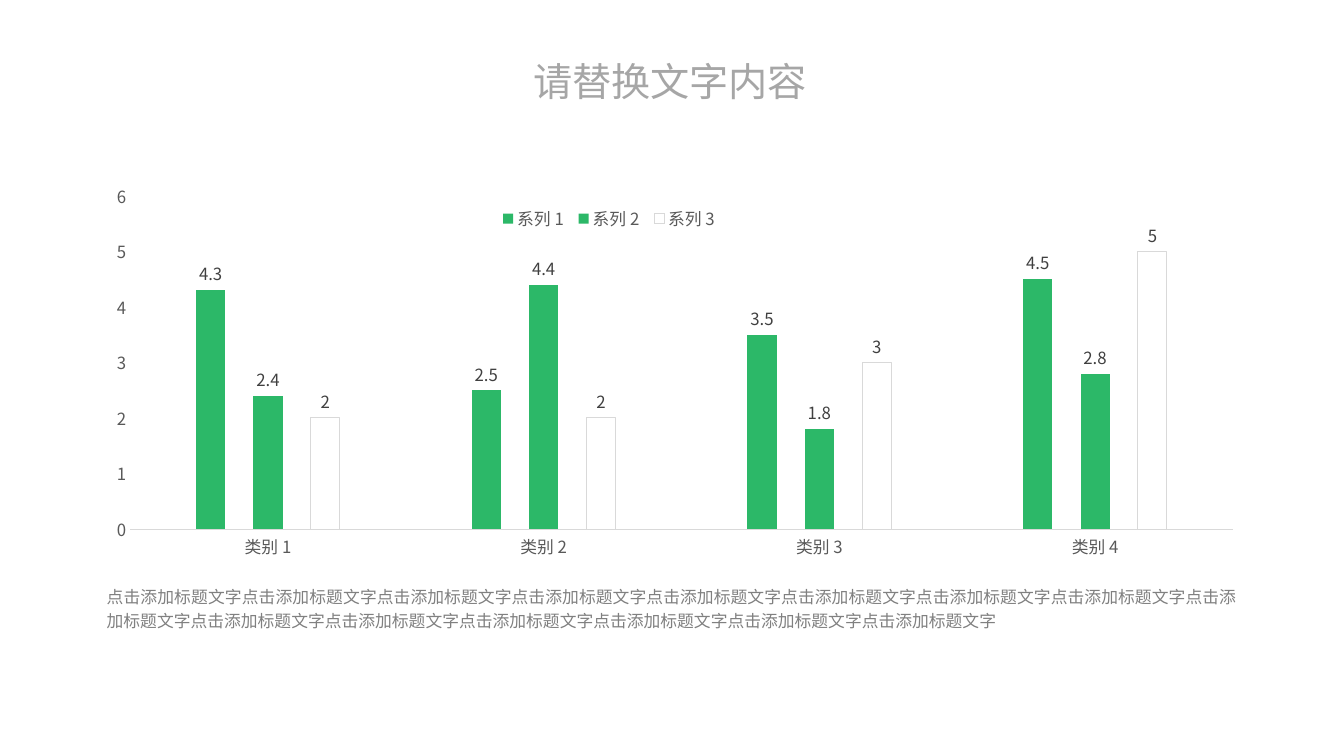
from lxml.etree import SubElement
from pptx import Presentation
from pptx.chart.data import CategoryChartData
from pptx.dml.color import RGBColor
from pptx.enum.chart import XL_CHART_TYPE, XL_LABEL_POSITION, XL_LEGEND_POSITION, XL_TICK_MARK
from pptx.enum.text import MSO_ANCHOR, MSO_AUTO_SIZE, PP_ALIGN
from pptx.oxml import parse_xml
from pptx.oxml.ns import nsdecls, qn
from pptx.util import Cm, Pt

# Content
TITLE = "请替换文字内容"
DESCRIPTION = "点击添加标题文字" * 15
CATEGORIES = ["类别 1", "类别 2", "类别 3", "类别 4"]
SERIES = [
    ("系列 1", (4.3, 2.5, 3.5, 4.5), "2CB868", None),
    ("系列 2", (2.4, 4.4, 1.8, 2.8), "2CB868", None),
    ("系列 3", (2, 2, 3, 5), "FFFFFF", "D9D9D9"),
]

# Format values
FONT = "Noto Sans CJK SC"
AXIS_GREY, LABEL_GREY, RULE_GREY = "595959", "404040", "D9D9D9"
LEFT, WIDTH = Cm(2.44), Cm(29.01)
TITLE_BOX = (Cm(13.18), Cm(1.07), Cm(7.49), Cm(1.6))
CHART_BOX = (LEFT, Cm(4.52), WIDTH, Cm(10.31))
DESCRIPTION_BOX = (LEFT, Cm(14.55), WIDTH, Cm(1.45))
PLOT_AREA = (0.029, 0.04, 0.958, 0.815)
LEGEND_AREA = (0.345, 0.065, 0.2, 0.06)


def rgb(hex_colour):
    return RGBColor.from_string(hex_colour)


def set_all(target, values):
    for key, value in values.items():
        setattr(target, key, value)


def style_font(font, size, colour):
    set_all(font, {"name": FONT, "size": Pt(size), "bold": False})
    SubElement(font._rPr, qn("a:ea")).set("typeface", FONT)
    font.color.rgb = rgb(colour)


def write(shape, text, size, colour, wrap):
    frame = shape.text_frame
    set_all(frame, {
        "text": text, "word_wrap": wrap, "vertical_anchor": MSO_ANCHOR.TOP,
        "auto_size": MSO_AUTO_SIZE.SHAPE_TO_FIT_TEXT,
    })
    paragraph = frame.paragraphs[0]
    set_all(paragraph, {"alignment": PP_ALIGN.JUSTIFY, "line_spacing": 1.2,
                        "space_before": Pt(0)})
    style_font(paragraph.runs[0].font, size, colour)


def place(element, area, index, target=""):
    """Fix the place of a chart part, in fractions of the chart."""
    for old in element.findall(qn("c:layout")):
        element.remove(old)
    modes = "".join(f'<c:{axis}Mode val="edge"/>' for axis in "xy")
    sizes = "".join(f'<c:{key} val="{value}"/>' for key, value in zip("xywh", area))
    element.insert(index, parse_xml(
        f'<c:layout {nsdecls("c")}><c:manualLayout>{target}{modes}{sizes}'
        "</c:manualLayout></c:layout>"))


prs = Presentation()
prs.slide_width, prs.slide_height = Cm(33.87), Cm(19.05)
slide = prs.slides.add_slide(prs.slide_layouts[5])

# Title
title = slide.shapes.title
set_all(title, dict(zip(("left", "top", "width", "height"), TITLE_BOX)))
write(title, TITLE, 28, "A6A6A6", wrap=False)

# Chart
data = CategoryChartData()
data.categories = CATEGORIES
for name, values, _, _ in SERIES:
    data.add_series(name, values)
chart = slide.shapes.add_chart(XL_CHART_TYPE.COLUMN_CLUSTERED, *CHART_BOX, data).chart
set_all(chart, {"has_title": False, "has_legend": True})
style_font(chart.font, 10, "000000")

# Columns and their values
plot = chart.plots[0]
set_all(plot, {"gap_width": 453, "overlap": -97, "vary_by_categories": False})
for series, (_, _, fill, outline) in zip(plot.series, SERIES):
    series.format.fill.solid()
    series.format.fill.fore_color.rgb = rgb(fill)
    if outline:
        series.format.line.color.rgb = rgb(outline)
        series.format.line.width = Pt(0.75)
    else:
        series.format.line.fill.background()
    set_all(series.data_labels, {"show_value": True,
                                 "position": XL_LABEL_POSITION.OUTSIDE_END})
    style_font(series.data_labels.font, 12, LABEL_GREY)

# Axes
for axis in (chart.category_axis, chart.value_axis):
    set_all(axis, {"has_major_gridlines": False, "major_tick_mark": XL_TICK_MARK.NONE,
                   "minor_tick_mark": XL_TICK_MARK.NONE})
    style_font(axis.tick_labels.font, 12, AXIS_GREY)
chart.category_axis.format.line.color.rgb = rgb(RULE_GREY)
chart.category_axis.format.line.width = Pt(0.75)
chart.value_axis.format.line.fill.background()
set_all(chart.value_axis, {"minimum_scale": 0, "maximum_scale": 6, "major_unit": 1})

# Legend and plot area
legend = chart.legend
set_all(legend, {"position": XL_LEGEND_POSITION.BOTTOM, "include_in_layout": False})
style_font(legend.font, 12, AXIS_GREY)
place(legend._element, LEGEND_AREA, 1)
place(chart._chartSpace.chart.plotArea, PLOT_AREA, 0, '<c:layoutTarget val="inner"/>')

# Description
write(slide.shapes.add_textbox(*DESCRIPTION_BOX), DESCRIPTION, 12, "808080", wrap=True)

prs.save("out.pptx")
